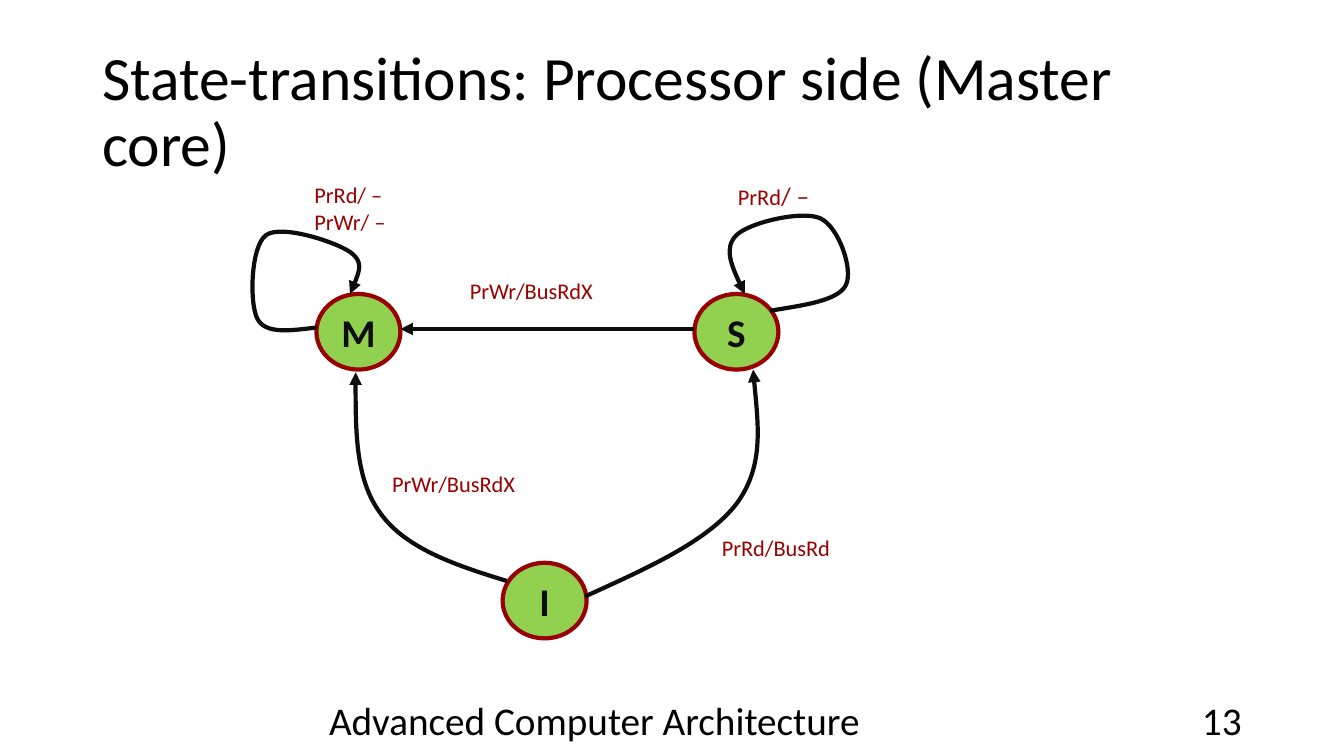
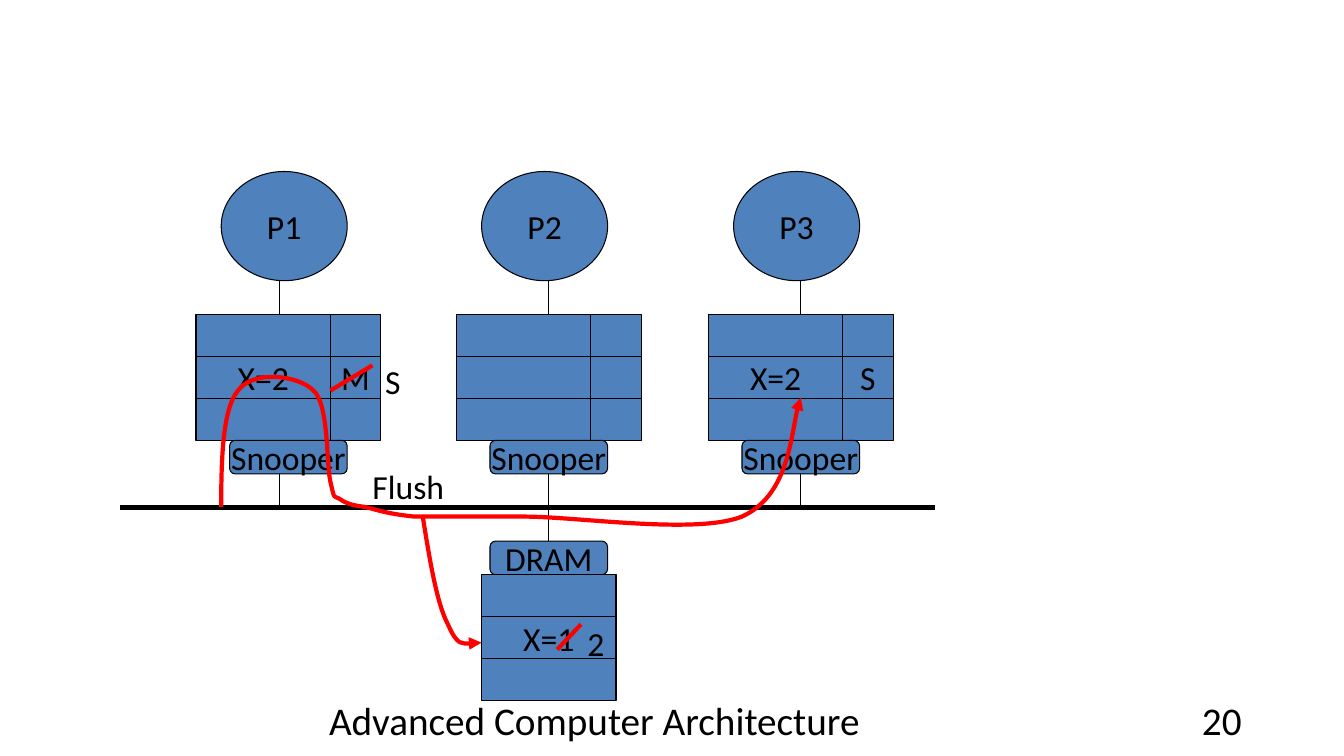
from lxml import etree
from pptx import Presentation
from pptx.dml.color import RGBColor
from pptx.enum.shapes import MSO_CONNECTOR, MSO_SHAPE
from pptx.enum.text import MSO_ANCHOR, PP_ALIGN
from pptx.oxml.ns import qn
from pptx.util import Pt

RECT, ROUND, OVAL = MSO_SHAPE.RECTANGLE, MSO_SHAPE.ROUNDED_RECTANGLE, MSO_SHAPE.OVAL
STRAIGHT = MSO_CONNECTOR.STRAIGHT
LEFT, CENTER, RIGHT = PP_ALIGN.LEFT, PP_ALIGN.CENTER, PP_ALIGN.RIGHT
TOP, MIDDLE = MSO_ANCHOR.TOP, MSO_ANCHOR.MIDDLE
SITE_TOP, SITE_BOTTOM = 0, 2

BLACK, INK, MAROON = "000000", "0D0D0D", "990000"
GREEN, BLUE, RED = "92D050", "4F81BD", "FF0000"


def rgb(color):
    return RGBColor.from_string(color)


class Deck:
    """Style of the deck and the slide being built."""

    font = "Calibri"
    footer = "Advanced Computer Architecture"

    def __init__(self):
        self.prs = Presentation()
        self.prs.slide_width, self.prs.slide_height = Pt(960), Pt(540)
        self.s = None

    def slide(self, number, title=None):
        self.s = self.prs.slides.add_slide(self.prs.slide_layouts[6])
        if title:
            tf = self.text(66, 29, 828, 104, [[(title, 44)]], anchor=MIDDLE)
            tf.paragraphs[0].line_spacing = 0.9
        self.text(207, 500, 435, 29, [[(self.footer, 28)]], align=CENTER, anchor=MIDDLE)
        self.text(678, 500, 216, 29, [[(number, 28)]], align=RIGHT, anchor=MIDDLE)

    def add_runs(self, tf, paragraphs, color, align, bold=False):
        """Each paragraph is a list of (text, size) runs."""
        for i, runs in enumerate(paragraphs):
            p = tf.add_paragraph() if i else tf.paragraphs[0]
            p.alignment = align
            for text, size in runs:
                r = p.add_run()
                r.text = text
                r.font.name, r.font.size, r.font.bold = self.font, Pt(size), bold
                r.font.color.rgb = rgb(color)

    def text(self, x, y, w, h, paragraphs, color=BLACK, align=LEFT, anchor=TOP):
        tf = self.s.shapes.add_textbox(Pt(x), Pt(y), Pt(w), Pt(h)).text_frame
        tf.word_wrap, tf.vertical_anchor = True, anchor
        self.add_runs(tf, paragraphs, color, align)
        return tf

    def stroke(self, sp, color, width, arrow=False):
        sp.line.color.rgb, sp.line.width = rgb(color), Pt(width)
        if arrow:
            ln = sp._element.spPr.find(qn("a:ln"))
            etree.SubElement(ln, qn("a:tailEnd"), type="triangle")

    def shape(self, kind, x, y, w, h, text="", size=24, fill=BLUE, line=BLACK,
              width=0.75, color=BLACK, bold=False):
        sp = self.s.shapes.add_shape(kind, Pt(x), Pt(y), Pt(w), Pt(h))
        sp.shadow.inherit = False
        sp.fill.solid()
        sp.fill.fore_color.rgb = rgb(fill)
        self.stroke(sp, line, width)
        if text:
            tf = sp.text_frame
            tf.word_wrap, tf.vertical_anchor = False, MIDDLE
            self.add_runs(tf, [[(text, size)]], color, CENTER, bold)
        return sp

    def line(self, x1, y1, x2, y2, color=BLACK, width=0.75, arrow=False):
        sp = self.s.shapes.add_connector(STRAIGHT, Pt(x1), Pt(y1), Pt(x2), Pt(y2))
        self.stroke(sp, color, width, arrow)
        etree.SubElement(sp._element.spPr, qn("a:effectLst"))
        return sp

    def curve(self, points, color):
        """Arrow along Bezier segments: a start, then three points for each."""
        start, *rest = [(Pt(x), Pt(y)) for x, y in points]
        builder = self.s.shapes.build_freeform(*start)
        builder.add_line_segments(rest, close=False)
        sp = builder.convert_to_shape()
        outline = sp._element.spPr.find(".//" + qn("a:path"))
        steps = outline.findall(qn("a:lnTo"))
        for i in range(0, len(steps), 3):
            bezier = etree.SubElement(outline, qn("a:cubicBezTo"))
            for step in steps[i:i + 3]:
                bezier.append(step[0])
                outline.remove(step)
        sp.shadow.inherit = False
        sp.fill.background()
        self.stroke(sp, color, 3, arrow=True)


def state_slide(d):
    d.slide("13", "State-transitions: Processor side (Master core)")

    # States
    for name, x, y in (("M", 226, 210), ("I", 359, 402), ("S", 496, 210)):
        d.shape(OVAL, x, y, 60, 54, name, 28, GREEN, MAROON, 3, INK, bold=True)

    # Transitions: M to M, I to M, I to S, S to S, S to M
    for points in (
        [(226, 234), (208, 236), (190, 239), (184, 228), (178, 217), (179, 176),
         (190, 168), (201, 160), (240, 173), (250, 180), (260, 187), (255, 199),
         (250, 210)],
        [(362, 415), (326, 404), (290, 392), (272, 367), (254, 343), (254, 304),
         (254, 266)],
        [(418, 426), (462, 406), (505, 387), (526, 360), (546, 333), (541, 299),
         (538, 264)],
        [(550, 222), (574, 218), (598, 215), (604, 204), (610, 193), (599, 162),
         (586, 156), (573, 150), (535, 159), (526, 168), (517, 177), (524, 194),
         (532, 210)],
    ):
        d.curve(points, INK)
    d.line(496, 235, 286, 235, INK, 3, arrow=True)

    # Transition labels
    for x, y, w, paragraphs in (
        (217.5, 126, 69, [[("PrRd/ –", 16)], [("PrWr/ –", 16)]]),
        (520, 125, 98, [[("PrRd", 16), ("/ –", 18)]]),
        (328.5, 194.5, 114, [[("PrWr/BusRdX", 16)]]),
        (273, 332, 114, [[("PrWr/BusRdX", 16)]]),
        (508.5, 378, 103, [[("PrRd/BusRd", 16)]]),
    ):
        d.text(x, y, w, 27 * len(paragraphs), paragraphs, MAROON)


def snooping_slide(d):
    d.slide("20")
    gap, row, data_w, state_w = 24, 30, 96, 36
    cpu_y, cpu_h = 122.5, 78
    cache_y = cpu_y + cpu_h + gap
    snoop_y = cache_y + 3 * row
    bus_y = snoop_y + 2 * gap
    dram_y = bus_y + gap

    # Shared bus
    d.line(86, bus_y, 668, bus_y, width=3.25)

    # Processors with their caches and snoopers
    for name, x, wire_x, data, state in (
        ("P1", 140, 200, "X=2", "M"),
        ("P2", 326, 392, "", ""),
        ("P3", 506, 572, "X=2", "S"),
    ):
        d.shape(OVAL, x + 18, cpu_y, 90, cpu_h, name)
        d.line(wire_x, cpu_y + cpu_h, wire_x, cache_y)
        for i in range(3):
            y = cache_y + i * row
            d.shape(RECT, x, y, data_w, row, data if i == 1 else "")
            d.shape(RECT, x + data_w, y, state_w, row, state if i == 1 else "")
        snooper = d.shape(ROUND, x + 24, snoop_y, 84, gap, "Snooper")
        wire = d.line(wire_x, snoop_y + gap, wire_x, bus_y)
        if wire_x == x + 66:
            wire.begin_connect(snooper, SITE_BOTTOM)

    # Memory
    dram = d.shape(ROUND, 350, dram_y, 84, gap, "DRAM")
    d.line(392, bus_y, 392, dram_y).end_connect(dram, SITE_TOP)
    for i, value in enumerate(("", "X=1", "")):
        d.shape(RECT, 344, dram_y + gap + i * row, data_w, row, value)

    # Replaced values
    d.line(236, 279, 266, 261, RED, 3)
    d.line(398, 464, 415, 446, RED, 3)
    for text, x, y, w in (("S", 268, 254, 30), ("2", 412.5, 441.5, 30),
                          ("Flush", 259, 329, 78)):
        d.text(x, y, w, 36, [[(text, 24)]])

    # Flush to memory and to P3
    d.curve([(302, 369), (307, 400), (312, 431), (320, 446), (327, 462), (336, 460),
             (344, 459)], RED)
    d.curve([(158, 362), (158, 328), (159, 292), (170, 279), (181, 264), (213, 268),
             (224, 279), (235, 289), (233, 331), (236, 344), (239, 357), (238, 354),
             (242, 356), (246, 359), (251, 361), (260, 362), (269, 364), (276, 367),
             (296, 369), (315, 369), (335, 369), (374, 369), (413, 369), (497, 382),
             (530, 369), (563, 354), (566, 299), (572, 284)], RED)


def main():
    d = Deck()
    state_slide(d)
    snooping_slide(d)
    d.prs.save("out.pptx")


if __name__ == "__main__":
    main()
